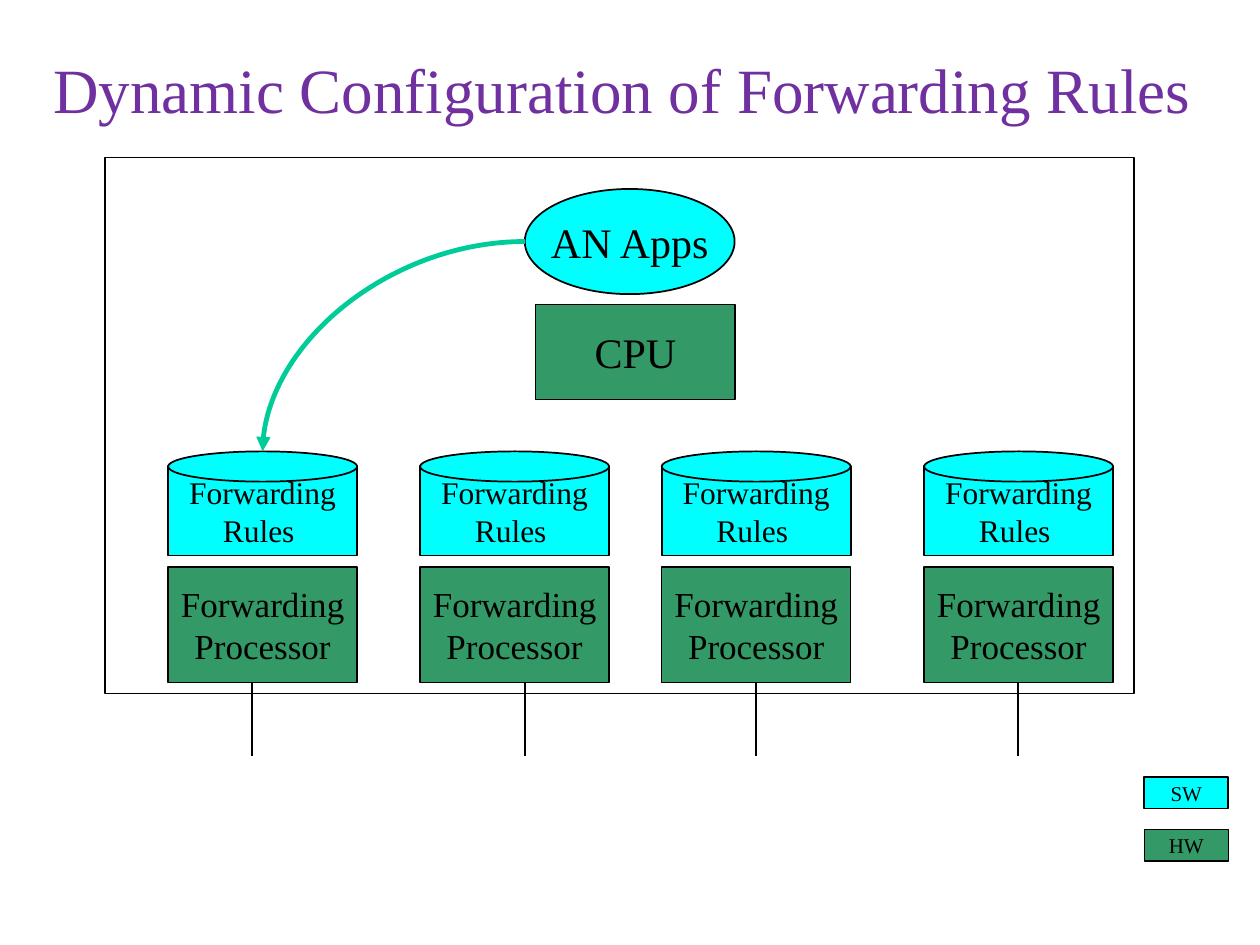
from lxml import etree
from pptx import Presentation
from pptx.dml.color import RGBColor
from pptx.enum.shapes import MSO_CONNECTOR, MSO_SHAPE
from pptx.enum.text import MSO_ANCHOR, MSO_AUTO_SIZE, PP_ALIGN
from pptx.oxml.ns import qn
from pptx.util import Cm, Pt

RECTANGLE, OVAL = MSO_SHAPE.RECTANGLE, MSO_SHAPE.OVAL
STRAIGHT, CURVE = MSO_CONNECTOR.STRAIGHT, MSO_CONNECTOR.CURVE
MIDDLE, BOTTOM = MSO_ANCHOR.MIDDLE, MSO_ANCHOR.BOTTOM
CENTER = PP_ALIGN.CENTER
NO_AUTOFIT = MSO_AUTO_SIZE.NONE

FONT = "Times New Roman"
BLACK, PURPLE, TEAL = "000000", "7030A0", "00CC99"
SOFTWARE, HARDWARE = "00FFFF", "339966"

# Left edge of each forwarding column and the offset of its link, in cm
COLUMNS = [(3.39, 1.69), (8.47, 2.11), (13.34, 1.9), (18.63, 1.9)]


def color(hex_string):
    return RGBColor.from_string(hex_string)


def write(frame, lines, size, hex_string=BLACK, anchor=MIDDLE):
    frame.vertical_anchor = anchor
    for index, line in enumerate(lines):
        para = frame.paragraphs[0] if index == 0 else frame.add_paragraph()
        para.alignment = CENTER
        span = para.add_run()
        span.text = line
        span.font.name = FONT
        span.font.size = Pt(size)
        span.font.color.rgb = color(hex_string)


def add_box(shapes, kind, box, fill=None, lines=(), size=12, line_width=0.75):
    shape = shapes.add_shape(kind, *[Cm(length) for length in box])
    shape.shadow.inherit = False
    if fill:
        shape.fill.solid()
        shape.fill.fore_color.rgb = color(fill)
    else:
        shape.fill.background()
    shape.line.color.rgb = color(BLACK)
    shape.line.width = Pt(line_width)
    shape.text_frame.word_wrap = False
    write(shape.text_frame, lines, size)
    return shape


def add_line(shapes, kind, start, end, hex_string, width):
    line = shapes.add_connector(kind, *[Cm(length) for length in (*start, *end)])
    line.line.color.rgb = color(hex_string)
    line.line.width = Pt(width)
    etree.SubElement(line._element.spPr, qn("a:effectLst"))
    return line


def add_title(page, left, top, width, height):
    title = page.shapes.title
    title.left, title.top = Cm(left), Cm(top)
    title.width, title.height = Cm(width), Cm(height)
    frame = title.text_frame
    frame.auto_size = NO_AUTOFIT
    frame.word_wrap = True
    frame.margin_left = frame.margin_right = Cm(0.13)
    frame.margin_top = frame.margin_bottom = Cm(0.13)
    write(frame, ["Dynamic Configuration of Forwarding Rules "], 36, PURPLE, BOTTOM)
    frame.paragraphs[0].line_spacing = 0.93


def add_processor(page, left, top, link_offset):
    """Forwarding processor with the link below it."""
    add_box(page.shapes, RECTANGLE, (left, top, 3.81, 2.33), HARDWARE,
            ["Forwarding", "Processor"], 20)
    link_x, link_top = left + link_offset, top + 2.33
    add_line(page.shapes, STRAIGHT, (link_x, link_top), (link_x, link_top + 1.48),
             BLACK, 1)


def add_rules(page, left, top):
    """Rule store drawn as a drum; returns its lid."""
    drum = page.shapes.add_group_shape().shapes
    add_box(drum, RECTANGLE, (left, top + 0.3, 3.81, 1.8), SOFTWARE,
            ["Forwarding", "Rules "], 18, 1)
    return add_box(drum, OVAL, (left, top, 3.81, 0.61), SOFTWARE, line_width=1)


def add_control(page, left, top):
    """Applications above the CPU; returns the applications."""
    add_box(page.shapes, RECTANGLE, (left + 0.22, top + 2.33, 4.02, 1.91), HARDWARE,
            ["CPU"], 24)
    return add_box(page.shapes, OVAL, (left, top, 4.23, 2.12), SOFTWARE,
                   ["AN Apps"], 24, 1)


def add_update_arrow(page, apps, lid):
    """Quarter curve from the left of the applications to the top of a drum."""
    arrow = add_line(page.shapes, CURVE, (0, 0), (1, 1), TEAL, 2.75)
    arrow.begin_connect(apps, 2)  # site 2 of an oval is its left end
    arrow.end_connect(lid, 0)
    arrow.begin_x, arrow.begin_y = apps.left, apps.top + apps.height // 2
    properties = arrow._element.spPr
    properties.find(qn("a:prstGeom")).set("prst", "curvedConnector2")
    etree.SubElement(properties.find(qn("a:ln")), qn("a:tailEnd"), type="triangle")


def add_legend(page, left, top):
    entries = [("SW", SOFTWARE, 1), ("HW", HARDWARE, 0.75)]
    for row, (label, fill, line_width) in enumerate(entries):
        add_box(page.shapes, RECTANGLE, (left, top + row * 1.06, 1.69, 0.64), fill,
                [label], 12, line_width)


def main():
    deck = Presentation()
    deck.slide_width, deck.slide_height = Cm(25.4), Cm(19.05)
    page = deck.slides.add_slide(deck.slide_layouts[5])

    add_title(page, 0, 0.85, 25.4, 1.85)
    for left, link_offset in COLUMNS:
        add_processor(page, left, 11.43, link_offset)
    # Device frame
    add_box(page.shapes, RECTANGLE, (2.12, 3.18, 20.74, 10.8))
    lids = [add_rules(page, left, 9.1) for left, _ in COLUMNS]
    apps = add_control(page, 10.58, 3.81)
    add_update_arrow(page, apps, lids[0])
    add_legend(page, 23.07, 15.66)

    deck.save("out.pptx")


if __name__ == "__main__":
    main()
